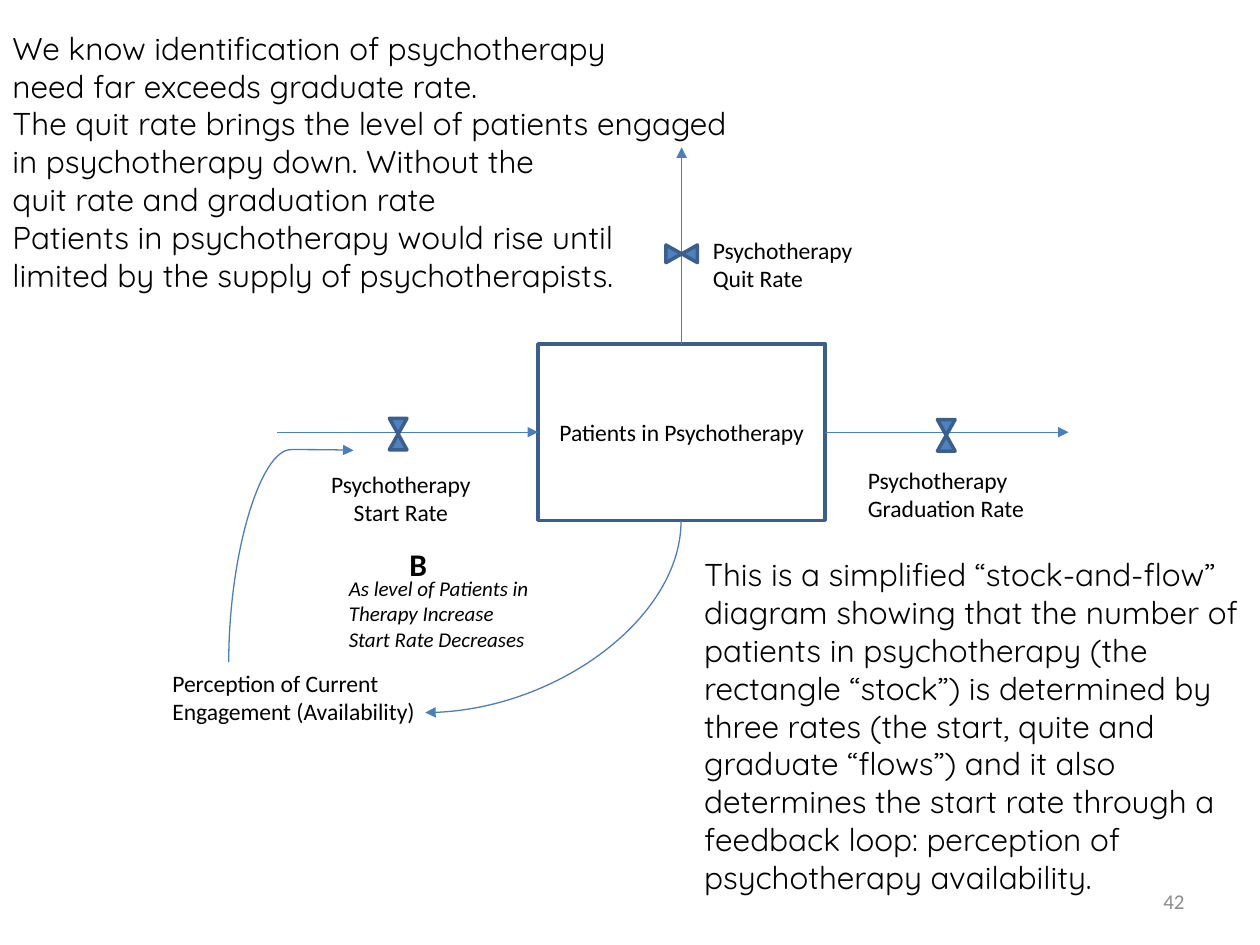
from dataclasses import dataclass

from pptx import Presentation
from pptx.dml.color import RGBColor
from pptx.enum.shapes import MSO_CONNECTOR, MSO_SHAPE
from pptx.enum.text import MSO_ANCHOR, MSO_AUTO_SIZE, PP_ALIGN
from pptx.oxml.ns import qn
from pptx.shapes.autoshape import Shape
from pptx.shapes.connector import Connector
from pptx.slide import Slide
from pptx.util import Inches, Pt
from lxml import etree

STRAIGHT, CURVE = MSO_CONNECTOR.STRAIGHT, MSO_CONNECTOR.CURVE
RECT, COLLATE = MSO_SHAPE.RECTANGLE, MSO_SHAPE.FLOWCHART_COLLATE
LEFT, CENTER, RIGHT = PP_ALIGN.LEFT, PP_ALIGN.CENTER, PP_ALIGN.RIGHT
TOP, MIDDLE = MSO_ANCHOR.TOP, MSO_ANCHOR.MIDDLE
GROW, FIXED = MSO_AUTO_SIZE.SHAPE_TO_FIT_TEXT, MSO_AUTO_SIZE.NONE

BLACK = RGBColor(0, 0, 0)
WHITE = RGBColor(255, 255, 255)
GRAY = RGBColor(0x8C, 0x8C, 0x8C)
BLUE = RGBColor(0x4F, 0x81, 0xBD)
EDGE = RGBColor(0x3A, 0x5F, 0x8C)
FLOW = RGBColor(0x4B, 0x7E, 0xBC)

WIDE, HIGH = Inches(10), Inches(7.5)
COLS, ROWS = 100, 75
SANS, ROUND = "Calibri", "Quicksand"


@dataclass(frozen=True)
class Box:
    col: float
    row: float
    cols: float
    rows: float

    def place(self) -> tuple[int, int, int, int]:
        return (across(self.col), down(self.row),
                across(self.cols), down(self.rows))


@dataclass(frozen=True)
class Style:
    size: float = 13.5
    font: str = SANS
    color: RGBColor = BLACK
    bold: bool = False
    slant: bool = False


@dataclass(frozen=True)
class Label:
    box: Box
    lines: tuple[str, ...]
    style: Style = Style()
    first: PP_ALIGN = LEFT
    rest: PP_ALIGN = LEFT
    wrap: bool = False
    fit: MSO_AUTO_SIZE = GROW
    anchor: MSO_ANCHOR = TOP


@dataclass(frozen=True)
class Valve:
    box: Box
    turn: float = 0


@dataclass(frozen=True)
class Curve:
    box: Box
    preset: str
    flip: bool = False
    bend: int | None = None


NOTE = Style(18, ROUND)
STOCK = Box(42.7, 27.3, 22.8, 14)
MID_COL = STOCK.col + STOCK.cols / 2
MID_ROW = STOCK.row + STOCK.rows / 2

VALVES = (
    Valve(Box(74.4, 33.3, 1.4, 2.5)),
    Valve(Box(30.9, 33.2, 1.4, 2.5)),
    Valve(Box(53.4, 18.9, 1.4, 2.5), 90),
)

CURVES = (
    Curve(Box(36.3, 38.8, 15.2, 20.3), "curvedConnector2"),
    Curve(Box(14.7, 39.2, 16.8, 9.9), "curvedConnector3", True, 100400),
)

LABELS = (
    Label(Box(26.7, 45.2, 17, 7.1),
          ("As level of Patients in", "Therapy Increase",
           "Start Rate Decreases"), Style(12, slant=True)),
    Label(Box(0, 1.8, 63.1, 22.2),
          ("We know identification of psychotherapy",
           "need far exceeds graduate rate.",
           "The quit rate brings the level of patients engaged",
           "in psychotherapy down. Without the",
           "quit rate and graduation rate",
           "Patients in psychotherapy would rise until",
           "limited by the supply of psychotherapists."), NOTE),
    Label(Box(25.3, 36.8, 13.3, 5.6), ("Psychotherapy", "Start Rate"),
          rest=CENTER),
    Label(Box(67.9, 36.5, 14.6, 5.6), ("Psychotherapy", "Graduation Rate"),
          rest=CENTER),
    Label(Box(55.6, 18.2, 13.7, 5.6), ("Psychotherapy", "Quit Rate")),
    Label(Box(12.7, 52.6, 21.6, 5.6),
          ("Perception of Current", "Engagement (Availability)")),
    Label(Box(31.5, 42.8, 3.4, 4), ("B",), Style(18, bold=True)),
    Label(Box(54.9, 43.6, 45.7, 28.3),
          ("This is a simplified “stock-and-flow” diagram showing that the "
           "number of patients in psychotherapy (the rectangle “stock”) is "
           "determined by three rates (the start, quite and graduate “flows”) "
           "and it also determines the start rate through a feedback loop: "
           "perception of psychotherapy availability.",), NOTE, wrap=True),
    Label(Box(71.7, 69.5, 23.3, 4), ("42",), Style(12, color=GRAY),
          first=RIGHT, wrap=True, fit=FIXED, anchor=MIDDLE),
)


def across(cols: float) -> int:
    return round(WIDE * cols / COLS)


def down(rows: float) -> int:
    return round(HIGH * rows / ROWS)


def write(shape: Shape, label: Label) -> None:
    frame = shape.text_frame
    frame.word_wrap = label.wrap
    frame.auto_size = label.fit
    frame.vertical_anchor = label.anchor
    for rank, line in enumerate(label.lines):
        para = frame.add_paragraph() if rank else frame.paragraphs[0]
        para.alignment = label.rest if rank else label.first
        run = para.add_run()
        run.text = line
        font, style = run.font, label.style
        font.name, font.size = style.font, Pt(style.size)
        font.bold, font.italic = style.bold, style.slant
        font.color.rgb = style.color


def add_label(slide: Slide, label: Label) -> None:
    write(slide.shapes.add_textbox(*label.box.place()), label)


def add_block(slide: Slide, kind: MSO_SHAPE, box: Box,
              fill: RGBColor) -> Shape:
    shape = slide.shapes.add_shape(kind, *box.place())
    shape.shadow.inherit = False
    shape.fill.solid()
    shape.fill.fore_color.rgb = fill
    shape.line.color.rgb = EDGE
    shape.line.width = Pt(2)
    return shape


def add_arrow(slide: Slide, kind: MSO_CONNECTOR, col: float, row: float,
              to_col: float, to_row: float) -> Connector:
    arrow = slide.shapes.add_connector(
        kind, across(col), down(row), across(to_col), down(to_row))
    arrow.line.color.rgb = FLOW
    arrow.line.width = Pt(0.75)
    props = arrow.element.spPr
    etree.SubElement(props.find(qn("a:ln")), qn("a:tailEnd"), type="triangle")
    etree.SubElement(props, qn("a:effectLst"))
    return arrow


def add_curve(slide: Slide, curve: Curve) -> None:
    box = curve.box
    start = (box.col, box.row)
    end = (box.col + box.cols, box.row + box.rows)
    if curve.flip:
        start, end = end, start
    props = add_arrow(slide, CURVE, *start, *end).element.spPr
    props.find(qn("a:xfrm")).set("rot", str(90 * 60000))
    shape = props.find(qn("a:prstGeom"))
    shape.set("prst", curve.preset)
    if curve.bend is not None:
        etree.SubElement(shape.find(qn("a:avLst")), qn("a:gd"),
                         name="adj1", fmla=f"val {curve.bend}")


def main() -> None:
    deck = Presentation()
    deck.slide_width, deck.slide_height = WIDE, HIGH
    slide = deck.slides.add_slide(deck.slide_layouts[6])

    stock = add_block(slide, RECT, STOCK, WHITE)
    write(stock, Label(STOCK, ("Patients in Psychotherapy",), first=CENTER,
                       wrap=True, fit=FIXED, anchor=MIDDLE))

    right = STOCK.col + STOCK.cols
    add_arrow(slide, STRAIGHT, right, MID_ROW, 84.8,
              MID_ROW).begin_connect(stock, 3)
    add_arrow(slide, STRAIGHT, 22, MID_ROW, STOCK.col,
              MID_ROW).end_connect(stock, 1)
    add_arrow(slide, STRAIGHT, MID_COL, STOCK.row, MID_COL,
              11.7).begin_connect(stock, 0)

    for valve in VALVES:
        add_block(slide, COLLATE, valve.box, BLUE).rotation = valve.turn
    for curve in CURVES:
        add_curve(slide, curve)
    for label in LABELS:
        add_label(slide, label)

    deck.save("out.pptx")


if __name__ == "__main__":
    main()
